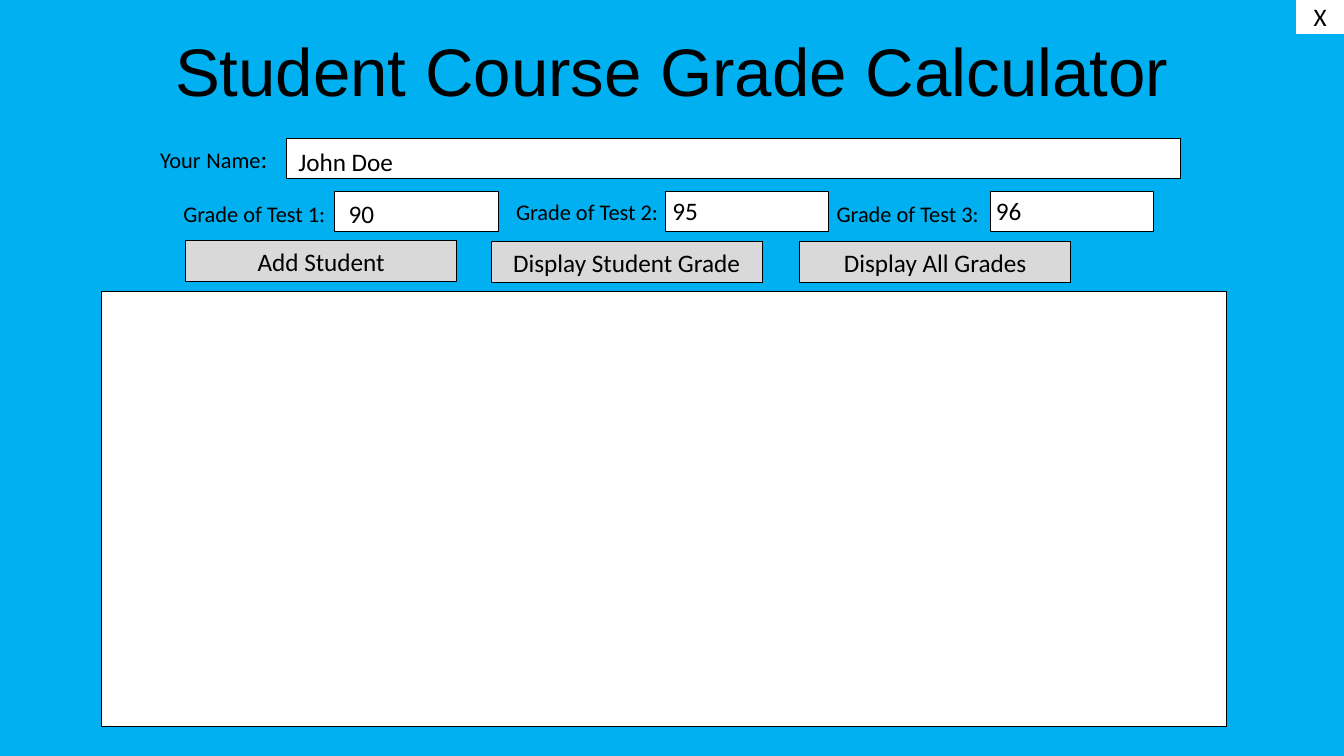
from pptx import Presentation
from pptx.dml.color import RGBColor
from pptx.enum.shapes import MSO_SHAPE as SHAPE
from pptx.enum.text import MSO_ANCHOR as ANCHOR, MSO_AUTO_SIZE as AUTO, PP_ALIGN as ALIGN
from pptx.util import Inches, Pt

SKY = RGBColor(0x00, 0xB0, 0xF0)
WHITE = RGBColor(0xFF, 0xFF, 0xFF)
BLACK = RGBColor(0x00, 0x00, 0x00)
GREY = RGBColor(0xD9, 0xD9, 0xD9)

# Grid: square cells, 133.3 columns by 75 rows
CELL = Inches(0.1)
COLS, ROWS = 133.3, 75
FIELD_H = 4

# Label column, label row, field column, value, value column, value row
TESTS = [
    (17.2, 19.4, 33.2, "90", 33.6, 19.2),
    (50.2, 19.2, 66.0, "95", 65.7, 18.9),
    (82.0, 19.4, 98.2, "96", 97.8, 18.9),
]
BUTTONS = [
    ("Add Student", 18.4, 23.9),
    ("Display Student Grade", 48.7, 24),
    ("Display All Grades", 79.3, 24),
]


def cells(*counts):
    return [round(n * CELL) for n in counts]


def style(p, size, align=ALIGN.LEFT, font="Calibri"):
    p.alignment = align
    p.font.name, p.font.size = font, Pt(size)
    p.font.color.rgb = BLACK


def add_box(s, col, row, width, height, fill=WHITE, line=BLACK, weight=0.75):
    sp = s.shapes.add_shape(SHAPE.RECTANGLE, *cells(col, row, width, height))
    sp.shadow.inherit = False
    sp.fill.solid()
    sp.fill.fore_color.rgb = fill
    sp.line.color.rgb = line
    sp.line.width = Pt(weight)
    return sp


def add_caption(sp, text, anchor):
    tf = sp.text_frame
    tf.vertical_anchor = anchor
    tf.text = text
    style(tf.paragraphs[0], 18, ALIGN.CENTER)


def add_text(s, col, row, width, height, runs, size):
    """Text box; runs is a list of (text, size), where None keeps the paragraph's size."""
    tf = s.shapes.add_textbox(*cells(col, row, width, height)).text_frame
    tf.word_wrap = True
    tf.auto_size = AUTO.SHAPE_TO_FIT_TEXT
    p = tf.paragraphs[0]
    style(p, size)
    for text, run_size in runs:
        r = p.add_run()
        r.text = text
        if run_size:
            r.font.size = Pt(run_size)


def add_title(s, text):
    title = s.shapes.title
    title.left, title.top, title.width, title.height = cells(14.3, 2.4, 104.7, 12.1)
    tf = title.text_frame
    tf.text = text
    tf.vertical_anchor = ANCHOR.TOP
    style(tf.paragraphs[0], 48, ALIGN.CENTER, "Arial")


def main():
    prs = Presentation()
    prs.slide_width, prs.slide_height = cells(COLS, ROWS)
    s = prs.slides.add_slide(prs.slide_layouts[5])
    s.background.fill.solid()
    s.background.fill.fore_color.rgb = SKY
    add_title(s, "Student Course Grade Calculator")

    # Name row
    add_text(s, 14.9, 13.7, 13.5, FIELD_H,
             [("Your", None), (" ", 18), ("Name", None), (":", 18)], 16)
    add_box(s, 28.4, 13.7, 88.7, FIELD_H)
    add_text(s, 28.6, 14, 29.5, FIELD_H, [("John Doe", None)], 18)

    # Test grades
    for number, (col, row, field_col, value, value_col, value_row) in enumerate(TESTS, 1):
        add_text(s, col, row, 18.6, 3.7, [(f"Grade of Test {number}:", None)], 16)
        add_box(s, field_col, 19, 16.2, FIELD_H)
        add_text(s, value_col, value_row, 14.1, FIELD_H, [(value, None)], 18)

    # Output area
    add_box(s, 10.1, 28.9, 111.6, 43.2)

    # Buttons
    for text, col, row in BUTTONS:
        add_caption(add_box(s, col, row, 26.9, FIELD_H, GREY), text, ANCHOR.TOP)

    # Close button in the top right corner
    close = add_box(s, COLS - 4.7, 0, 4.7, 3.3, line=WHITE, weight=1)
    add_caption(close, "X", ANCHOR.MIDDLE)

    prs.save("out.pptx")


if __name__ == "__main__":
    main()
